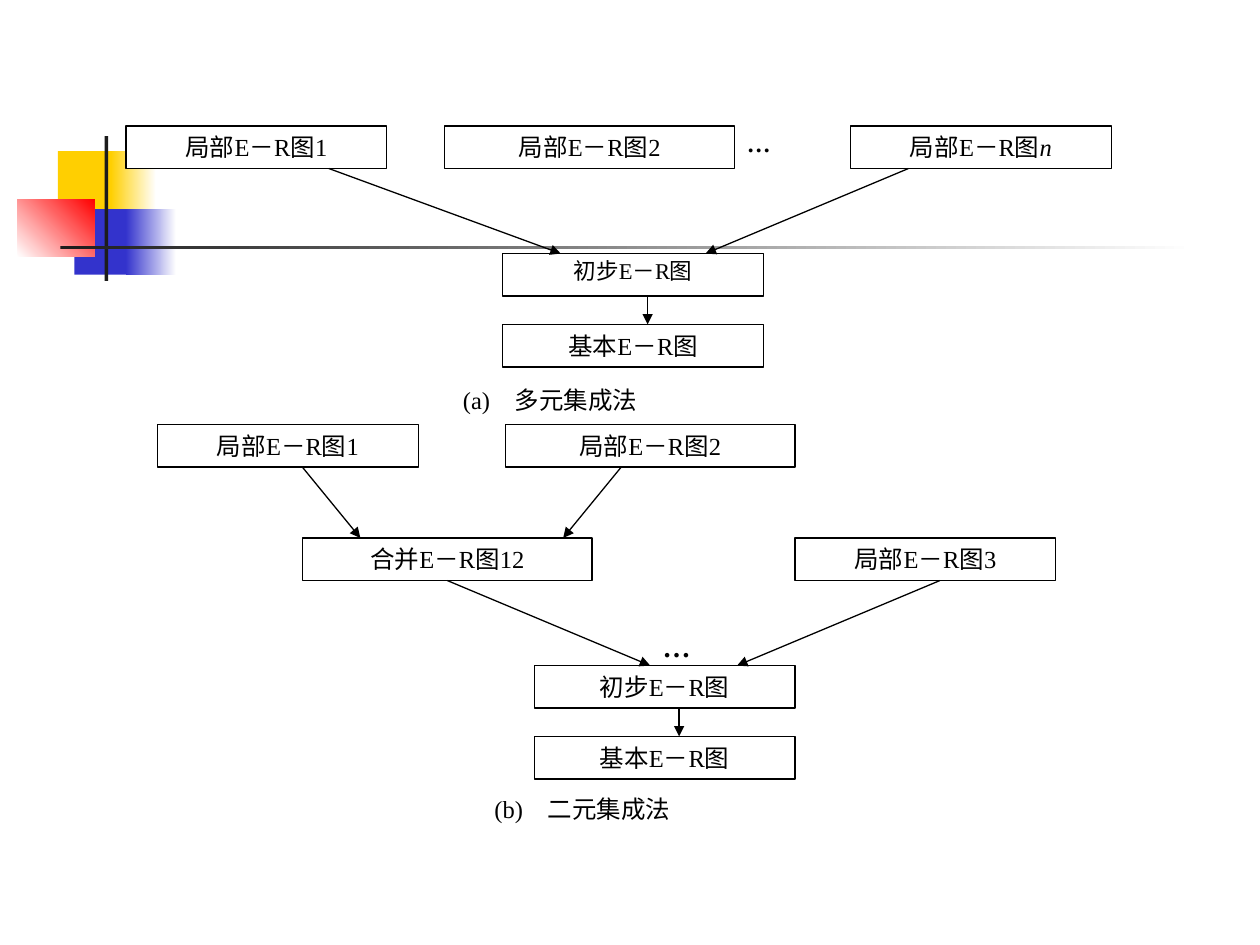
from dataclasses import dataclass

from lxml import etree
from pptx import Presentation
from pptx.dml.color import RGBColor
from pptx.enum.shapes import MSO_CONNECTOR, MSO_SHAPE
from pptx.enum.text import MSO_ANCHOR, PP_ALIGN
from pptx.oxml.ns import qn
from pptx.util import Inches, Pt

RECT = MSO_SHAPE.RECTANGLE
STRAIGHT = MSO_CONNECTOR.STRAIGHT
TOP = MSO_ANCHOR.TOP
CENTER, JUSTIFY = PP_ALIGN.CENTER, PP_ALIGN.JUSTIFY

# Diagram grid, in inches
COL = 0.23
ROW = 0.9 / 8
BOX_ROWS = 3


@dataclass(frozen=True)
class Theme:
    font: str = "Times New Roman"
    ink: str = "000000"
    paper: str = "FFFFFF"
    yellow: str = "FFCF01"
    blue: str = "3333CC"
    red: str = "FF0000"
    dark: str = "1C1C1C"
    body: float = 14
    small: float = 12.9
    dots_small: float = 13.6
    dots: float = 16
    line: float = 0.75


THEME = Theme()


def rgb(value):
    return RGBColor.from_string(value)


def add_rect(slide, at, fill, fade_to=None, angle=0):
    """Plain rectangle; fade_to makes the fill a linear gradient."""
    sp = slide.shapes.add_shape(RECT, *(Inches(v) for v in at))
    sp.shadow.inherit = False
    sp.line.fill.background()
    if fade_to:
        sp.fill.gradient()
        sp.fill.gradient_angle = angle
        for stop, color in zip(sp.fill.gradient_stops, (fill, fade_to)):
            stop.color.rgb = rgb(color)
    else:
        sp.fill.solid()
        sp.fill.fore_color.rgb = rgb(fill)
    return sp


def add_decoration(slide):
    t = THEME
    add_rect(slide, (0.46, 1.2, 0.48, 0.52), t.yellow)
    add_rect(slide, (0.88, 1.2, 0.36, 0.52), t.yellow, t.paper)
    add_rect(slide, (0.59, 1.66, 0.46, 0.52), t.blue)
    add_rect(slide, (1, 1.66, 0.4, 0.52), t.blue, t.paper)
    add_rect(slide, (0.14, 1.58, 0.61, 0.46), t.paper, t.red, 45)
    add_rect(slide, (0.83, 1.08, 0.03, 1.15), t.dark)
    add_rect(slide, (0.48, 1.95, 9, 0.03), t.dark, t.paper)


@dataclass(frozen=True)
class Diagram:
    """Places elements by column and row from its own origin."""
    slide: object
    left: float
    top: float

    def point(self, col, row):
        return self.left + col * COL, self.top + row * ROW

    def label(self, text, col, row, cols, rows=BOX_ROWS, size=THEME.body,
              align=JUSTIFY, bold=False, spacing=None, italic_tail=""):
        at = (*self.point(col, row), cols * COL, rows * ROW)
        sp = add_rect(self.slide, at, THEME.paper)
        tf = sp.text_frame
        tf.word_wrap = True
        tf.vertical_anchor = TOP
        tf.text = text
        p = tf.paragraphs[0]
        p.alignment = align
        if spacing:
            p.line_spacing = spacing
        if italic_tail:
            r = p.add_run()
            r.text = italic_tail
            r.font.italic = True
        for r in p.runs:
            r.font.name = THEME.font
            r.font.size = Pt(size)
            r.font.color.rgb = rgb(THEME.ink)
            if bold:
                r.font.bold = True
        return sp

    def box(self, text, col, row, cols=9, **style):
        sp = self.label(text, col, row, cols, align=CENTER, **style)
        sp.line.color.rgb = rgb(THEME.ink)
        sp.line.width = Pt(THEME.line)

    def arrow(self, start, end):
        ends = (Inches(v) for v in (*self.point(*start), *self.point(*end)))
        cx = self.slide.shapes.add_connector(STRAIGHT, *ends)
        cx.line.color.rgb = rgb(THEME.ink)
        cx.line.width = Pt(THEME.line)
        etree.SubElement(cx.line._get_or_add_ln(), qn("a:tailEnd"), type="triangle")
        etree.SubElement(cx._element.spPr, qn("a:effectLst"))


def add_multiway(slide):
    d = Diagram(slide, left=1, top=1)
    d.label("(a)　多元集成法", 11.2, 17.8, 15)
    d.label("…", 21, 0, 3, size=THEME.dots_small, bold=True, spacing=0.9)
    d.box("局部E－R图1", 0, 0)
    d.box("局部E－R图2", 11, 0, 10)
    d.box("局部E－R图", 25, 0, italic_tail="n")
    d.box("初步E－R图", 13, 9, size=THEME.small, spacing=0.9)
    d.box("基本E－R图", 13, 14)
    for start, end in (((7, 3), (15, 9)), ((27, 3), (20, 9)), ((18, 12), (18, 14))):
        d.arrow(start, end)


def add_pairwise(slide):
    d = Diagram(slide, left=1.25, top=3.37)
    d.label("(b)　二元集成法", 11.2, 25.6, 15)
    d.label("…", 17, 14, 3, rows=4, size=THEME.dots, bold=True)
    d.box("局部E－R图1", 0, 0)
    d.box("局部E－R图2", 12, 0, 10)
    d.box("合并E－R图12", 5, 8, 10)
    d.box("局部E－R图3", 22, 8)
    d.box("初步E－R图", 13, 17)
    d.box("基本E－R图", 13, 22)
    for start, end in (((5, 3), (7, 8)), ((16, 3), (14, 8)), ((10, 11), (17, 17)),
                       ((27, 11), (20, 17)), ((18, 20), (18, 22))):
        d.arrow(start, end)


def main():
    prs = Presentation()
    prs.slide_width, prs.slide_height = Inches(10), Inches(7.5)
    s = prs.slides.add_slide(prs.slide_layouts[6])
    s.background.fill.solid()
    s.background.fill.fore_color.rgb = rgb(THEME.paper)
    add_decoration(s)
    add_multiway(s)
    add_pairwise(s)
    prs.save("out.pptx")


if __name__ == "__main__":
    main()
